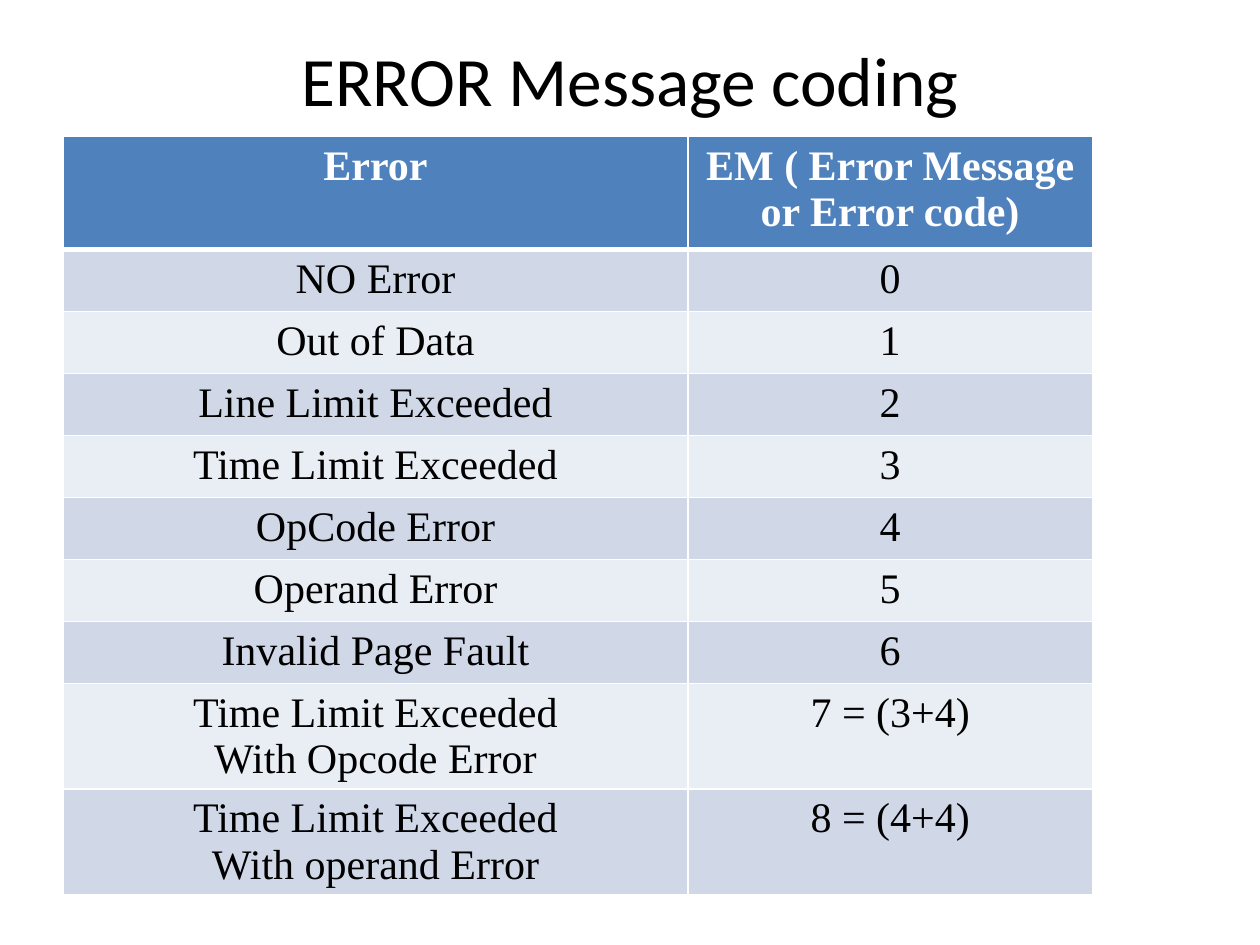
import pptx
import pptx.dml.color
import pptx.enum.text
import pptx.oxml
import pptx.oxml.ns
import pptx.util
from pptx.util import Cm

ROWS = [
    ("Error", "EM ( Error Message or Error code)"),
    ("NO Error", "0"),
    ("Out of Data", "1"),
    ("Line Limit Exceeded", "2"),
    ("Time Limit Exceeded", "3"),
    ("OpCode Error", "4"),
    ("Operand Error", "5"),
    ("Invalid Page Fault", "6"),
    ("Time Limit Exceeded\nWith Opcode Error", "7 = (3+4)"),
    ("Time Limit Exceeded\nWith operand Error", "8 = (4+4)"),
]
COLUMN_WIDTHS = [12.6, 8.15]
HEADER_HEIGHT, SINGLE_HEIGHT, DOUBLE_HEIGHT = 2.28, 1.25, 2.12
BAND_FILLS = ["E9EDF4", "D0D8E8"]


def color(value):
    return pptx.dml.color.RGBColor.from_string(value)


def set_attributes(target, values):
    for name, value in values.items():
        setattr(target, name, value)


def format_text(frame, text_color, **font_values):
    for paragraph in frame.paragraphs:
        paragraph.alignment = pptx.enum.text.PP_ALIGN.CENTER
        for run in paragraph.runs:
            set_attributes(run.font, font_values)
            run.font.color.rgb = color(text_color)


def set_borders(cell, bottom_width):
    properties = cell._tc.get_or_add_tcPr()
    widths = {"lnL": 1, "lnR": 1, "lnT": 1, "lnB": bottom_width}
    for position, (tag, width) in enumerate(widths.items()):
        border = pptx.oxml.parse_xml(
            f'<a:{tag} {pptx.oxml.ns.nsdecls("a")} w="{pptx.util.Pt(width)}">'
            f'<a:solidFill><a:srgbClr val="FFFFFF"/></a:solidFill></a:{tag}>'
        )
        properties.insert(position, border)


def add_title(slide, text):
    title = slide.shapes.title
    set_attributes(title, {
        "left": Cm(1.27), "top": Cm(0.76), "width": Cm(22.86), "height": Cm(3.18),
    })
    frame = title.text_frame
    frame.text = text
    set_attributes(frame, {
        "vertical_anchor": pptx.enum.text.MSO_ANCHOR.MIDDLE,
        "margin_bottom": Cm(1.65),
        "word_wrap": True,
    })
    format_text(frame, "000000", name="Calibri", size=pptx.util.Pt(39.6))


def row_height(row_index, text):
    if row_index == 0:
        return Cm(HEADER_HEIGHT)
    return Cm(DOUBLE_HEIGHT if "\n" in text else SINGLE_HEIGHT)


def add_error_table(slide):
    heights = [row_height(index, row[0]) for index, row in enumerate(ROWS)]
    table = slide.shapes.add_table(
        len(ROWS), len(COLUMN_WIDTHS), Cm(1.27), Cm(2.75),
        Cm(sum(COLUMN_WIDTHS)), sum(heights),
    ).table
    for column, width in zip(table.columns, COLUMN_WIDTHS):
        column.width = Cm(width)
    for row_index, texts in enumerate(ROWS):
        table.rows[row_index].height = heights[row_index]
        is_header = row_index == 0
        for column_index, text in enumerate(texts):
            cell = table.cell(row_index, column_index)
            cell.text = text
            cell.fill.solid()
            cell.fill.fore_color.rgb = color("4F81BD" if is_header else BAND_FILLS[row_index % 2])
            set_borders(cell, 3 if is_header else 1)
            format_text(
                cell.text_frame, "FFFFFF" if is_header else "000000",
                name="Times New Roman", size=pptx.util.Pt(24), bold=is_header,
            )


def main():
    presentation = pptx.Presentation()
    set_attributes(presentation, {"slide_width": Cm(25.4), "slide_height": Cm(19.05)})
    slide = presentation.slides.add_slide(presentation.slide_layouts[5])
    add_title(slide, "ERROR Message coding")
    add_error_table(slide)
    presentation.save("out.pptx")


if __name__ == "__main__":
    main()
